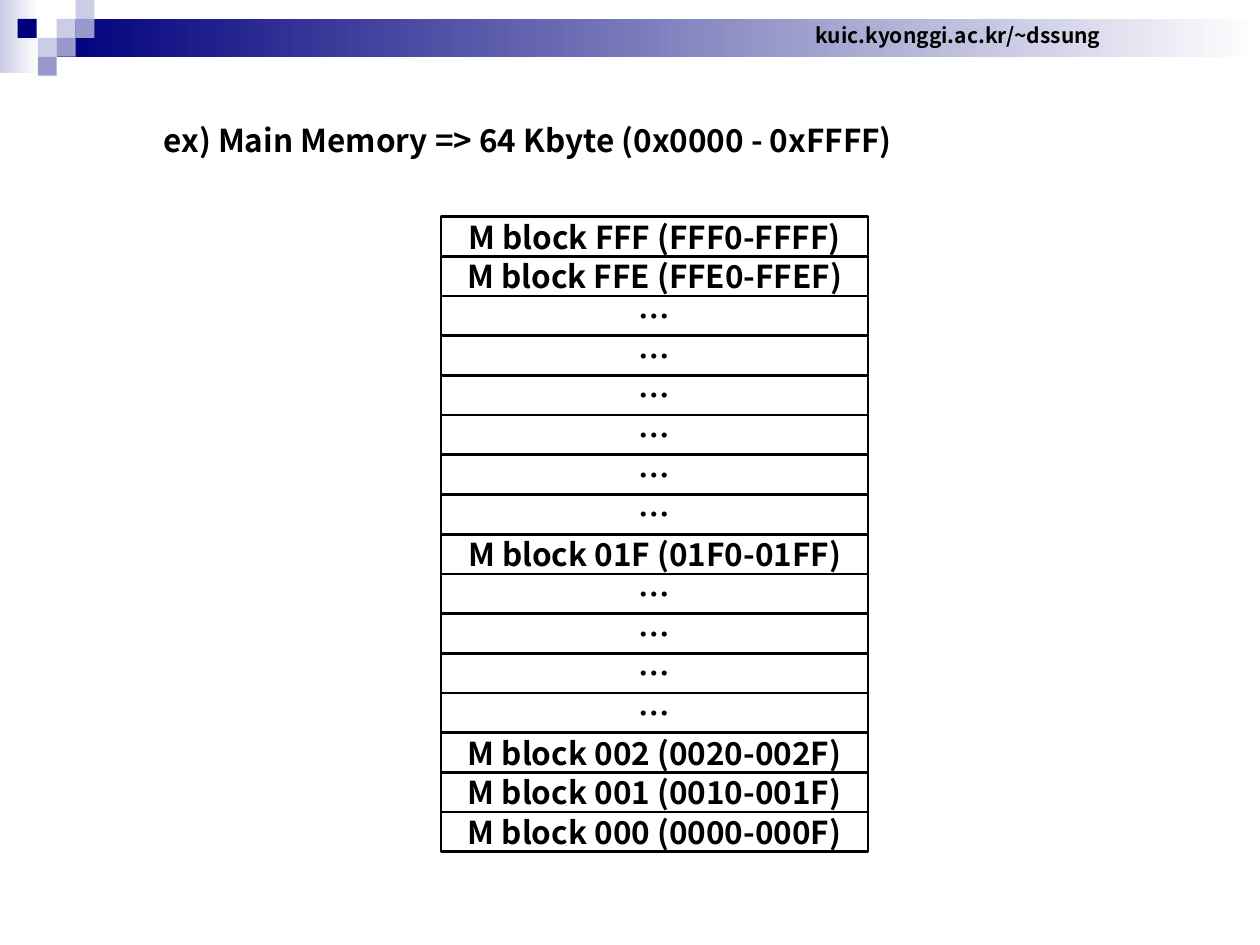
from lxml.etree import SubElement
from pptx import Presentation
from pptx.dml.color import RGBColor
from pptx.enum.shapes import MSO_SHAPE
from pptx.enum.text import MSO_ANCHOR, PP_ALIGN
from pptx.oxml.ns import qn
from pptx.util import Inches, Pt

FONT = "Noto Sans CJK KR"
BLACK = RGBColor(0x00, 0x00, 0x00)
WHITE = RGBColor(0xFF, 0xFF, 0xFF)
NAVY = RGBColor(0x00, 0x00, 0x7D)
LAVENDER = RGBColor(0xCC, 0xCC, 0xE6)
PERIWINKLE = RGBColor(0x99, 0x99, 0xCC)


def add_rectangle(left, top, width, height):
    box = page.shapes.add_shape(
        MSO_SHAPE.RECTANGLE, Inches(left), Inches(top), Inches(width), Inches(height)
    )
    box.shadow.inherit = False
    box.line.fill.background()
    return box


def write_text(box, text, size, align, anchor):
    frame = box.text_frame
    frame.word_wrap = False
    frame.vertical_anchor = anchor
    para = frame.paragraphs[0]
    para.text = text
    para.alignment = align
    para.font.size = Pt(size)
    para.font.bold = True
    para.font.color.rgb = BLACK
    para.font.name = FONT
    properties = para._p.pPr.find(qn("a:defRPr"))
    SubElement(properties, qn("a:ea")).set("typeface", FONT)


deck = Presentation()
deck.slide_width = Inches(10)
deck.slide_height = Inches(7.5)
page = deck.slides.add_slide(deck.slide_layouts[6])

bands = [
    (0, 0, 0.31, 0.58, LAVENDER),
    (0.45, 0.15, 9.55, 0.3, NAVY),
]
for left, top, width, height, color in bands:
    band = add_rectangle(left, top, width, height)
    band.fill.gradient()
    band.fill.gradient_angle = 180
    for stop, stop_color in zip(band.fill.gradient_stops, (WHITE, color)):
        stop.color.rgb = stop_color

TILE = 0.15
tiles = [
    (0.45, 0.15, LAVENDER),
    (0.6, 0, LAVENDER),
    (0.6, 0.15, PERIWINKLE),
    (0.3, 0.3, LAVENDER),
    (0.14, 0.15, NAVY),
    (0.45, 0.3, PERIWINKLE),
    (0.3, 0.45, PERIWINKLE),
]
for left, top, color in tiles:
    tile = add_rectangle(left, top, TILE, TILE)
    tile.fill.solid()
    tile.fill.fore_color.rgb = color

address = page.shapes.add_textbox(Inches(6.37), Inches(0.13), Inches(2.47), Inches(0.3))
write_text(address, "kuic.kyonggi.ac.kr/~dssung", 12, PP_ALIGN.CENTER, MSO_ANCHOR.MIDDLE)

heading = page.shapes.add_textbox(Inches(1.2), Inches(0.91), Inches(6.09), Inches(0.4))
write_text(
    heading,
    "ex) Main Memory => 64 Kbyte (0x0000 - 0xFFFF)",
    18,
    PP_ALIGN.LEFT,
    MSO_ANCHOR.TOP,
)

blocks = ["FFF", "FFE", *[None] * 6, "01F", *[None] * 4, "002", "001", "000"]
MEMORY_TOP = 1.72
ROW_HEIGHT = 5.04 / len(blocks)
for index, block in enumerate(blocks):
    row = add_rectangle(3.5, MEMORY_TOP + index * ROW_HEIGHT, 3.39, ROW_HEIGHT)
    row.fill.solid()
    row.fill.fore_color.rgb = WHITE
    row.line.color.rgb = BLACK
    row.line.width = Pt(1.5)
    label = f"M block {block} ({block}0-{block}F)" if block else "…"
    write_text(row, label, 18, PP_ALIGN.CENTER, MSO_ANCHOR.MIDDLE)

deck.save("out.pptx")
